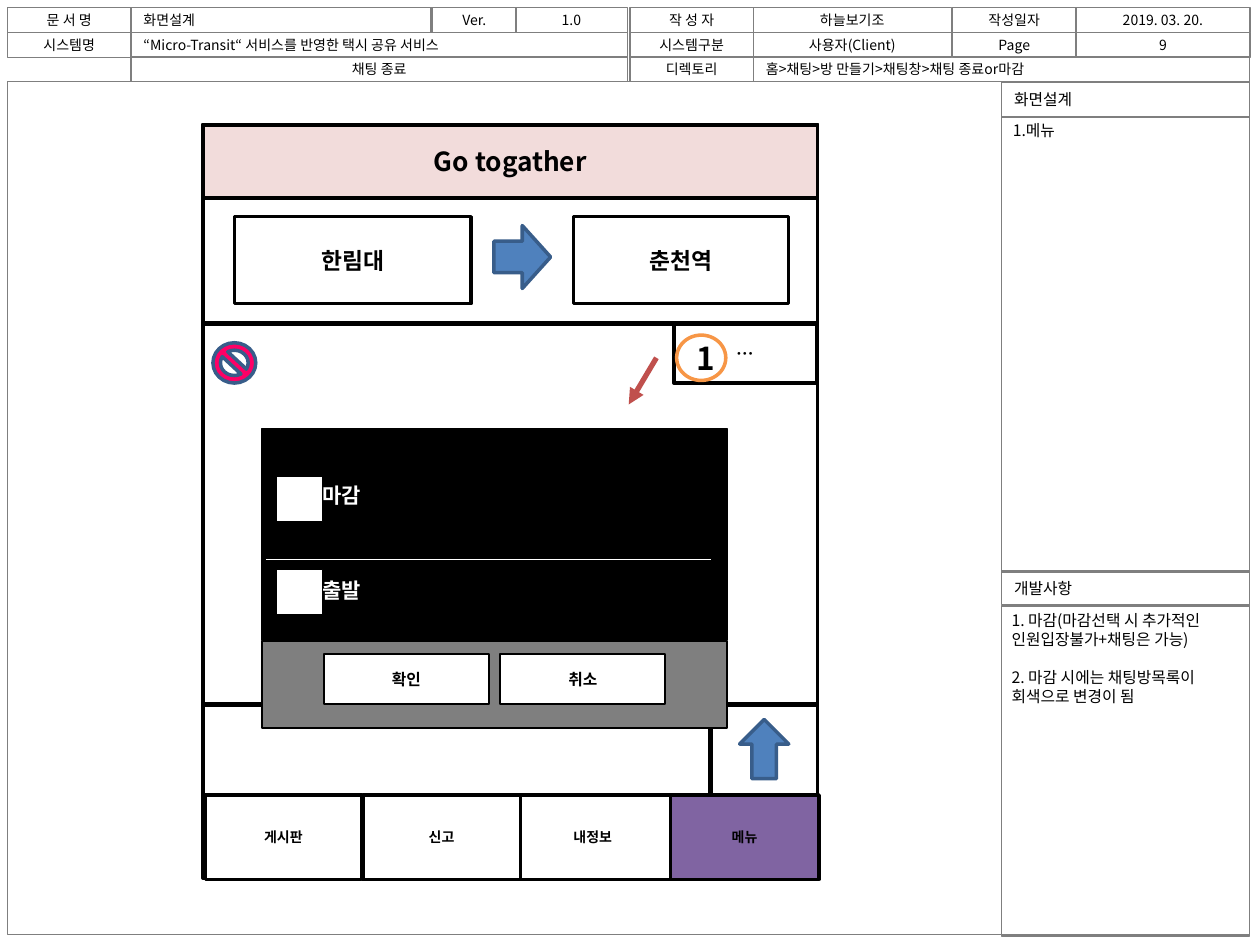
from dataclasses import dataclass
from typing import Any

from lxml import etree
from pptx import Presentation
from pptx import util as u
from pptx.dml.color import RGBColor
from pptx.enum import shapes, text
from pptx.oxml.ns import qn

HUE = {
    "black": "000000", "white": "FFFFFF", "gray": "7F7F7F", "pink": "F2DCDB",
    "blue": "4F81BD", "navy": "385D8A", "violet": "8064A2", "rose": "FF0066",
    "red": "C0504D", "orange": "F79646",
}
KIND = shapes.MSO_SHAPE
MID, LEFT = text.PP_ALIGN.CENTER, text.PP_ALIGN.LEFT


def rgb(name):
    return RGBColor.from_string(HUE[name])


def write(frame, words, size=8, bold=False, color="black", align=MID,
          anchor=text.MSO_ANCHOR.MIDDLE, font="Noto Sans CJK KR",
          pad=(0.1, 0.05), gap=0, wrap=True):
    """Fill a text frame; each line break in words starts a paragraph."""
    frame.auto_size = text.MSO_AUTO_SIZE.NONE
    frame.word_wrap = wrap
    frame.vertical_anchor = anchor
    frame.margin_left, frame.margin_top = map(u.Inches, pad)
    frame.margin_right, frame.margin_bottom = u.Inches(0.1), u.Inches(0.05)
    for i, line in enumerate(words.split("\n")):
        para = frame.paragraphs[0] if i == 0 else frame.add_paragraph()
        para.alignment = align
        if i:
            para.space_before = u.Pt(gap)
        run = para.add_run()
        run.text = line
        run.font.size, run.font.bold, run.font.name = u.Pt(size), bold, font
        run.font.color.rgb = rgb(color)
        # Hangul takes its typeface from the East Asian slot
        props = run.font._element
        etree.SubElement(props, qn("a:ea")).set("typeface", font)


@dataclass
class Sheet:
    slide: Any
    rim: str = "black"
    width: float = 2

    def outline(self, shape, color, width):
        shape.line.color.rgb = rgb(color)
        shape.line.width = u.Pt(width)

    def box(self, x, y, w, h, words="", fill="white", rim=None, width=None,
            kind=KIND.RECTANGLE, **fmt):
        shape = self.slide.shapes.add_shape(kind, *map(u.Inches, (x, y, w, h)))
        shape.shadow.inherit = False
        if fill:
            shape.fill.solid()
            shape.fill.fore_color.rgb = rgb(fill)
        else:
            shape.fill.background()
        self.outline(shape, rim or self.rim, width or self.width)
        if words:
            write(shape.text_frame, words, **fmt)
        return shape

    def cell(self, x, y, w, h, words="", **fmt):
        return self.box(x, y, w, h, words, None, "gray", 0.75, **fmt)

    def line(self, x1, y1, x2, y2, color="black", width=3, arrow=False):
        line = self.slide.shapes.add_connector(
            shapes.MSO_CONNECTOR.STRAIGHT, *map(u.Inches, (x1, y1, x2, y2)))
        self.outline(line, color, width)
        props = line._element.spPr
        if arrow:
            etree.SubElement(props.find(qn("a:ln")), qn("a:tailEnd")).set("type", "triangle")
        etree.SubElement(props, qn("a:effectLst"))

    def note(self, x, y, w, h, words, **fmt):
        area = self.slide.shapes.add_textbox(*map(u.Inches, (x, y, w, h)))
        write(area.text_frame, words, align=LEFT, anchor=text.MSO_ANCHOR.TOP, **fmt)

    def title(self, x, y, w, h, words):
        head = self.slide.shapes.title
        head.left, head.top, head.width, head.height = map(u.Inches, (x, y, w, h))
        self.outline(head, "gray", 0.75)
        write(head.text_frame, words)


def header(page):
    rows = (0.06, 0.26, 0.45)
    cells = [  # row, left, width, words, alignment
        (0, 0.06, 0.98, "문 서 명", MID),
        (0, 1.04, 2.38, "화면설계", LEFT),
        (0, 3.43, 0.67, "Ver.", MID),
        (0, 4.09, 0.89, "1.0", MID),
        (0, 5, 0.98, "작 성 자", MID),
        (0, 5.98, 1.57, "하늘보기조", MID),
        (0, 7.56, 0.98, "작성일자", MID),
        (0, 8.54, 1.38, "2019. 03. 20.", MID),
        (1, 0.06, 0.98, "시스템명", MID),
        (1, 1.04, 3.94, "“Micro-Transit“ 서비스를 반영한 택시 공유 서비스", LEFT),
        (1, 5, 0.98, "시스템구분", MID),
        (1, 5.98, 1.57, "사용자(Client)", MID),
        (1, 7.56, 0.98, "Page", MID),
        (1, 8.54, 1.38, "9", MID),
        (2, 5, 0.98, "디렉토리", MID),
        (2, 5.98, 3.94, "홈>채팅>방 만들기>채팅창>채팅 종료or마감", LEFT),
    ]
    for row, x, w, words, align in cells:
        page.cell(x, rows[row], w, 0.2, words, align=align)
    page.title(1.04, rows[2], 3.94, 0.2, "채팅 종료")


def side(page):
    page.cell(0.06, 0.65, 9.86, 6.77)
    for y, h, words in ((0.65, 0.28, "화면설계"), (0.93, 3.61, ""),
                        (4.53, 0.27, "개발사항"), (4.81, 2.62, "")):
        page.cell(7.95, y, 1.97, h, words, size=9, align=LEFT)
    page.note(7.94, 0.91, 0.6, 0.25, "1.메뉴", size=9, wrap=False)
    page.note(7.93, 4.8, 2.07, 0.85,
              "1. 마감(마감선택 시 추가적인 인원입장불가+채팅은 가능)\n"
              "2. 마감 시에는 채팅방목록이 회색으로 변경이 됨", size=9, gap=11)


def phone(page):
    # Frame, app bar and route
    page.box(1.61, 0.99, 4.88, 5.98)
    page.box(1.61, 0.99, 4.88, 0.58, "Go togather", "pink", size=15, bold=True)
    for x, w, place in ((1.86, 1.88, "한림대"), (4.55, 1.71, "춘천역")):
        page.box(x, 1.72, w, 0.69, place, size=13, bold=True)
    page.box(3.92, 1.79, 0.45, 0.5, fill="blue", rim="navy", kind=KIND.RIGHT_ARROW)

    # Bottom tabs
    for x, w, words, fill in ((1.63, 1.24, "게시판", "white"),
                              (4.05, 1.31, "내정보", "white"),
                              (5.32, 1.18, "메뉴", "violet"),
                              (2.88, 1.25, "신고", "white")):
        page.box(x, 6.31, w, 0.67, words, fill, bold=True)

    # Chat area and input row
    page.line(1.61, 2.57, 6.48, 2.57)
    page.box(5.35, 2.57, 1.13, 0.47, "…", size=10, bold=True)
    page.line(1.61, 5.59, 6.48, 5.59)
    send = page.box(5.83, 5.75, 0.47, 0.39, fill="blue", rim="navy", kind=KIND.RIGHT_ARROW)
    send.rotation = 270
    page.line(5.64, 6.3, 5.64, 5.61)
    page.box(1.69, 2.72, 0.34, 0.32, fill="rose", rim="navy", kind=KIND.NO_SYMBOL)
    page.line(5.21, 2.84, 4.99, 3.21, "red", arrow=True)


def popup(page):
    page.box(2.08, 3.4, 3.69, 1.68, "마감\n출발", "black", width=1, size=12,
             bold=True, color="white", align=LEFT, anchor=text.MSO_ANCHOR.TOP,
             pad=(0.48, 0.43), gap=40)
    page.line(2.11, 4.44, 5.64, 4.44, "white", 0.75)
    page.box(2.08, 5.09, 3.69, 0.69, fill="gray", width=1)
    for x, words in ((2.57, "확인"), (3.97, "취소")):
        page.box(x, 5.19, 1.31, 0.4, words, width=1, size=9, bold=True)
    for y in (4.52, 3.78):
        page.box(2.19, y, 0.37, 0.36, width=1)
    # Callout number
    page.box(5.37, 2.66, 0.39, 0.36, "1", rim="orange", kind=KIND.OVAL,
             size=18, bold=True)


def main():
    deck = Presentation()
    deck.slide_width, deck.slide_height = u.Inches(10), u.Inches(7.5)
    page = Sheet(deck.slides.add_slide(deck.slide_layouts[5]))
    for part in (header, side, phone, popup):
        part(page)
    deck.save("out.pptx")


if __name__ == "__main__":
    main()
